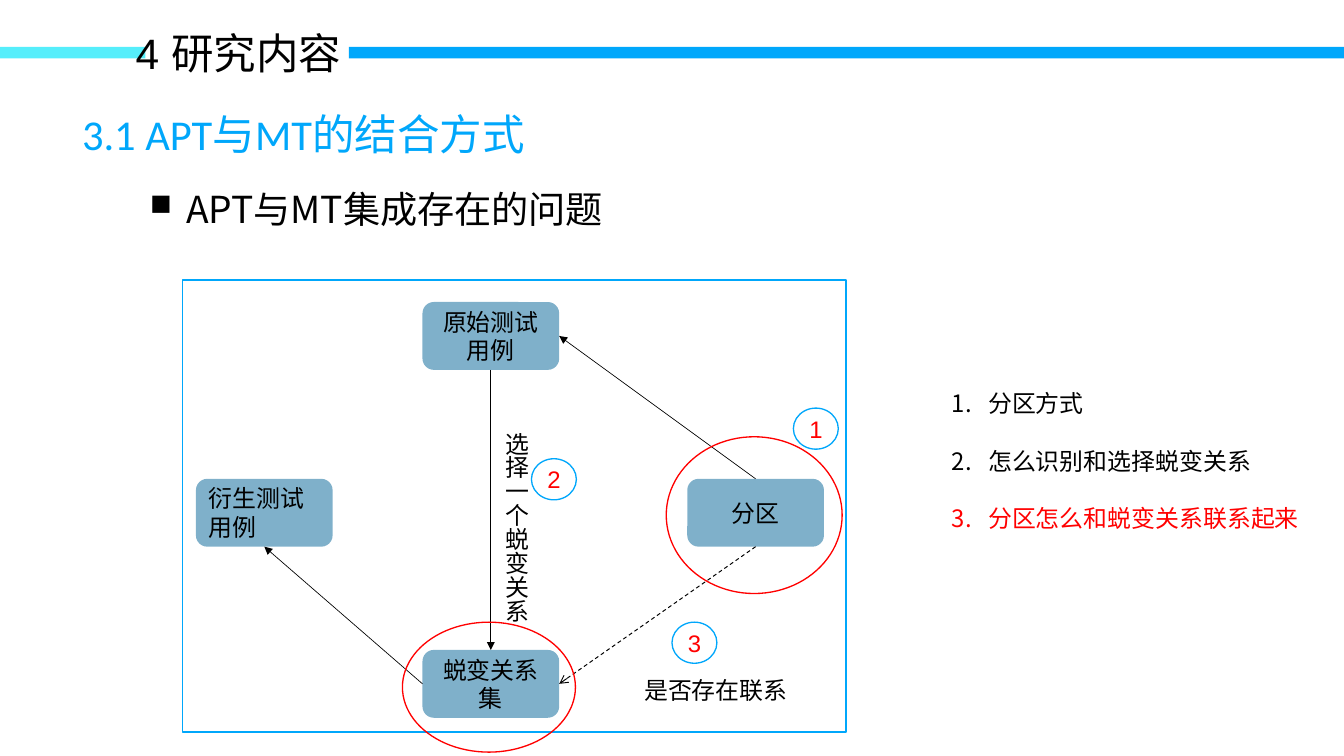
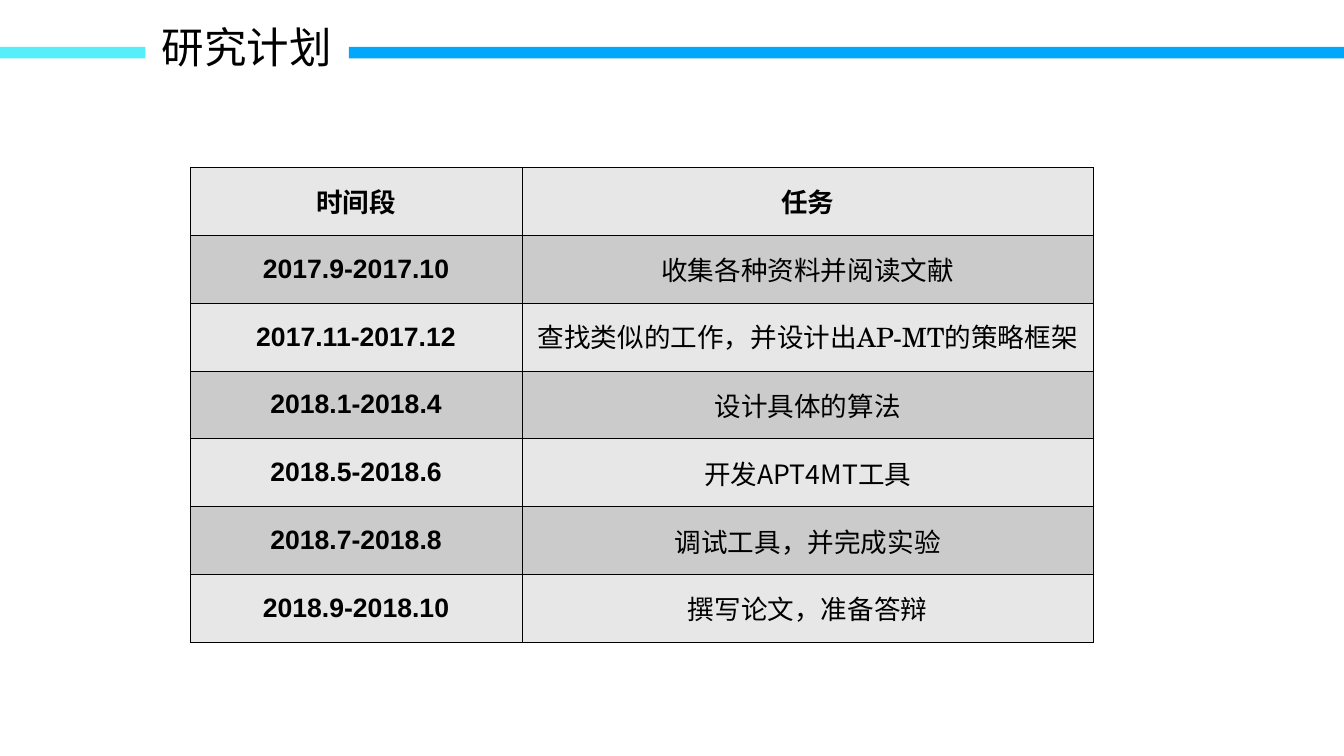
from dataclasses import dataclass

from lxml.etree import SubElement
from pptx import Presentation
from pptx.dml.color import RGBColor
from pptx.enum.dml import MSO_LINE_DASH_STYLE as Dash
from pptx.enum.shapes import MSO_CONNECTOR as Connector, MSO_SHAPE as Shape
from pptx.enum.text import MSO_ANCHOR as Anchor, MSO_AUTO_SIZE as AutoSize, PP_ALIGN as Align
from pptx.oxml.ns import qn
from pptx.util import Inches, Pt

TITLE_ONLY = 5
TOP, LEFT, BOTTOM, RIGHT = range(4)  # connection sites of a box


@dataclass(frozen=True)
class Theme:
    black: RGBColor = RGBColor(0x00, 0x00, 0x00)
    white: RGBColor = RGBColor(0xFF, 0xFF, 0xFF)
    red: RGBColor = RGBColor(0xFF, 0x00, 0x00)
    blue: RGBColor = RGBColor(0x00, 0xA7, 0xFB)
    cyan: RGBColor = RGBColor(0x55, 0xEE, 0xFB)
    node: RGBColor = RGBColor(0x00, 0x63, 0x97)
    rows: tuple = (RGBColor(0xE7, 0xE7, 0xE7), RGBColor(0xCB, 0xCB, 0xCB))
    title: Pt = Pt(32)
    topic: Pt = Pt(28)
    cell: Pt = Pt(20)
    label: Pt = Pt(18)
    sans: str = "Arial"
    body: str = "Calibri"
    serif: str = "TeX Gyre Schola"
    chinese: str = "Noto Sans CJK SC"


THEME = Theme()


def assign(target, **values):
    for name, value in values.items():
        setattr(target, name, value)


def set_frame(frame, insets=(0.1, 0.05), anchor=Anchor.TOP, wrap=True):
    across, down = map(Inches, insets)
    assign(frame, auto_size=AutoSize.NONE, word_wrap=wrap, vertical_anchor=anchor,
           margin_left=across, margin_right=across, margin_top=down, margin_bottom=down)


def add_span(para, text, size=THEME.label, face=THEME.body, color=THEME.black, bold=False):
    span = para.add_run()
    span.text = text
    span.font.color.rgb = color
    assign(span.font, size=size, name=face, bold=bold)
    SubElement(span.font._element, qn("a:ea"), typeface=THEME.chinese)


def add_bullet(para, color, kind, percent=100, **values):
    """Hang the paragraph behind a bullet of the given XML kind."""
    indent = Inches(0.38)
    properties = para._p.get_or_add_pPr()
    properties.set("marL", str(indent))
    properties.set("indent", str(-indent))
    tint = SubElement(properties, qn("a:buClr"))
    SubElement(tint, qn("a:srgbClr"), val=str(color))
    SubElement(properties, qn("a:buSzPct"), val=str(percent * 1000))
    SubElement(properties, qn(kind), **values)


def set_borders(cell, color, width):
    properties = cell._tc.get_or_add_tcPr()
    for position, side in enumerate(("lnL", "lnR", "lnT", "lnB")):
        edge = SubElement(properties, qn(f"a:{side}"), w=str(width))
        fill = SubElement(edge, qn("a:solidFill"))
        SubElement(fill, qn("a:srgbClr"), val=str(color))
        properties.insert(position, edge)


class Slides:
    def __init__(self):
        self.deck = Presentation()
        assign(self.deck, slide_width=Inches(14.06), slide_height=Inches(7.91))
        self.page = None

    def new_page(self, title, left, top):
        self.page = self.deck.slides.add_slide(self.deck.slide_layouts[TITLE_ONLY])
        self.shape(Shape.RECTANGLE, (3.65, 0.49, 10.41, 0.12), fill=THEME.blue)
        self.shape(Shape.RECTANGLE, (0, 0.49, 1.52, 0.12), fill=THEME.cyan)
        box = self.page.shapes.title
        assign(box, left=Inches(left), top=Inches(top), width=Inches(2.8),
               height=Inches(0.64))
        set_frame(box.text_frame)
        para = box.text_frame.paragraphs[0]
        para.alignment = Align.LEFT
        add_span(para, title, THEME.title, THEME.sans)
        self.page.shapes._spTree.append(box._element)  # in front of the bands

    def shape(self, kind, place, fill=None, line=None, opacity=100):
        item = self.page.shapes.add_shape(kind, *map(Inches, place))
        item.shadow.inherit = False
        if fill is None:
            item.fill.background()
        else:
            item.fill.solid()
            item.fill.fore_color.rgb = fill
            if opacity < 100:
                tint = item._element.spPr.find(f"{qn('a:solidFill')}/{qn('a:srgbClr')}")
                SubElement(tint, qn("a:alpha"), val=str(opacity * 1000))
        if line is None:
            item.line.fill.background()
        else:
            item.line.color.rgb = line
            item.line.width = Pt(1)
        return item

    def fill_text(self, item, text, align=Align.CENTER, **style):
        set_frame(item.text_frame, anchor=Anchor.MIDDLE)
        para = item.text_frame.paragraphs[0]
        para.alignment = align
        add_span(para, text, **style)

    def node(self, text, left, top, align=Align.CENTER):
        item = self.shape(Shape.ROUNDED_RECTANGLE, (left, top, 1.43, 0.71),
                          THEME.node, opacity=50)
        self.fill_text(item, text, align, face=THEME.serif)
        return item

    def badge(self, number, left, top):
        item = self.shape(Shape.OVAL, (left, top, 0.47, 0.43), THEME.white, THEME.blue)
        self.fill_text(item, str(number), face=THEME.sans, color=THEME.red)

    def text(self, text, place, vertical=False, bullet=None, **style):
        box = self.page.shapes.add_textbox(*map(Inches, place))
        set_frame(box.text_frame, (0.05, 0.1) if vertical else (0.1, 0.05))
        if vertical:
            box.text_frame._txBody.bodyPr.set("vert", "eaVert")
        para = box.text_frame.paragraphs[0]
        if bullet:
            add_bullet(para, THEME.black, "a:buChar", 80, char=bullet)
        add_span(para, text, **style)

    def numbered_list(self, items, place):
        box = self.page.shapes.add_textbox(*map(Inches, place))
        frame = box.text_frame
        set_frame(frame)
        for index, (text, color) in enumerate(items):
            para = frame.add_paragraph() if index else frame.paragraphs[0]
            para.line_spacing = 2.0
            add_bullet(para, color, "a:buAutoNum", type="arabicPeriod")
            add_span(para, text, color=color)

    def arrow(self, start, start_site, end, end_site, width=0.5, dash=None, head="triangle"):
        link = self.page.shapes.add_connector(Connector.STRAIGHT, 0, 0, 0, 0)
        link.begin_connect(start, start_site)
        link.end_connect(end, end_site)
        link.line.color.rgb = THEME.black
        assign(link.line, width=Pt(width), dash_style=dash)
        SubElement(link.line._get_or_add_ln(), qn("a:tailEnd"), type=head)
        SubElement(link._element.spPr, qn("a:effectLst"))

    def table(self, rows, left, top, widths, row_height):
        """Rows hold cells; a cell is a list of (text, face) spans."""
        size = (sum(widths), row_height * len(rows))
        table = self.page.shapes.add_table(
            len(rows), len(widths), *map(Inches, (left, top, *size))).table
        assign(table, first_row=False, horz_banding=False)
        for column, width in zip(table.columns, widths):
            column.width = Inches(width)
        for r, spans_by_cell in enumerate(rows):
            table.rows[r].height = Inches(row_height)
            for c, spans in enumerate(spans_by_cell):
                cell = table.cell(r, c)
                cell.fill.solid()
                cell.fill.fore_color.rgb = THEME.rows[r % 2]
                assign(cell, vertical_anchor=Anchor.MIDDLE,
                       margin_left=Inches(0.07), margin_right=Inches(0.07))
                set_borders(cell, THEME.black, Pt(0.45))
                para = cell.text_frame.paragraphs[0]
                para.alignment = Align.CENTER
                for text, face in spans:
                    add_span(para, text, THEME.cell, face, bold=r == 0 or c == 0)


def build_research(slides):
    slides.new_page("4 研究内容", 1.32, 0.23)
    slides.text("3.1 APT与MT的结合方式", (0.76, 1.08, 6.27, 0.64),
                size=THEME.title, color=THEME.blue)
    slides.text("APT与MT集成存在的问题", (1.47, 1.9, 5.34, 0.57), bullet="■",
                size=THEME.topic, face=THEME.chinese)

    slides.shape(Shape.RECTANGLE, (1.91, 2.93, 6.94, 4.73), line=THEME.blue)
    source = slides.node("原始测试用例", 4.42, 3.16)
    relations = slides.node("蜕变关系集", 4.42, 6.8)
    partition = slides.node("分区", 7.19, 5.01)
    derived = slides.node("衍生测试用例", 2.05, 5.01, Align.LEFT)
    slides.arrow(partition, TOP, source, RIGHT)
    slides.arrow(source, BOTTOM, relations, TOP)
    slides.arrow(relations, LEFT, derived, BOTTOM)
    slides.arrow(partition, BOTTOM, relations, RIGHT, 0.75, Dash.DASH, "arrow")

    slides.text("选择一个蜕变关系", (5.1, 4.42, 0.5, 2.36), vertical=True)
    slides.text("是否存在联系", (6.64, 7.02, 1.8, 0.4))
    for place in ((6.97, 4.57, 1.84, 1.64), (4.21, 6.51, 1.81, 1.36)):
        slides.shape(Shape.OVAL, place, line=THEME.red)
    for number, spot in enumerate(((8.3, 4.27), (5.56, 4.8), (7.03, 6.51)), 1):
        slides.badge(number, *spot)

    slides.numbered_list([("分区方式", THEME.black),
                          ("怎么识别和选择蜕变关系", THEME.black),
                          ("分区怎么和蜕变关系联系起来", THEME.red)],
                         (9.86, 3.72, 4.2, 1.9))


def build_plan(slides):
    slides.new_page("研究计划", 1.59, 0.17)
    tasks = [
        ("时间段", ["任务"]),
        ("2017.9-2017.10", ["收集各种资料并阅读文献"]),
        ("2017.11-2017.12", ["查找类似的工作，并设计出", "AP-MT", "的策略框架"]),
        ("2018.1-2018.4", ["设计具体的算法"]),
        ("2018.5-2018.6", ["开发APT4MT工具"]),
        ("2018.7-2018.8", ["调试工具，并完成实验"]),
        ("2018.9-2018.10", ["撰写论文，准备答辩"]),
    ]
    rows = [[[(period, THEME.sans)],
             [(part, THEME.serif if part.isascii() else THEME.chinese) for part in parts]]
            for period, parts in tasks]
    slides.table(rows, 1.99, 1.75, (3.47, 5.98), 0.71)


def main():
    slides = Slides()
    build_research(slides)
    build_plan(slides)
    slides.deck.save("out.pptx")


if __name__ == "__main__":
    main()
